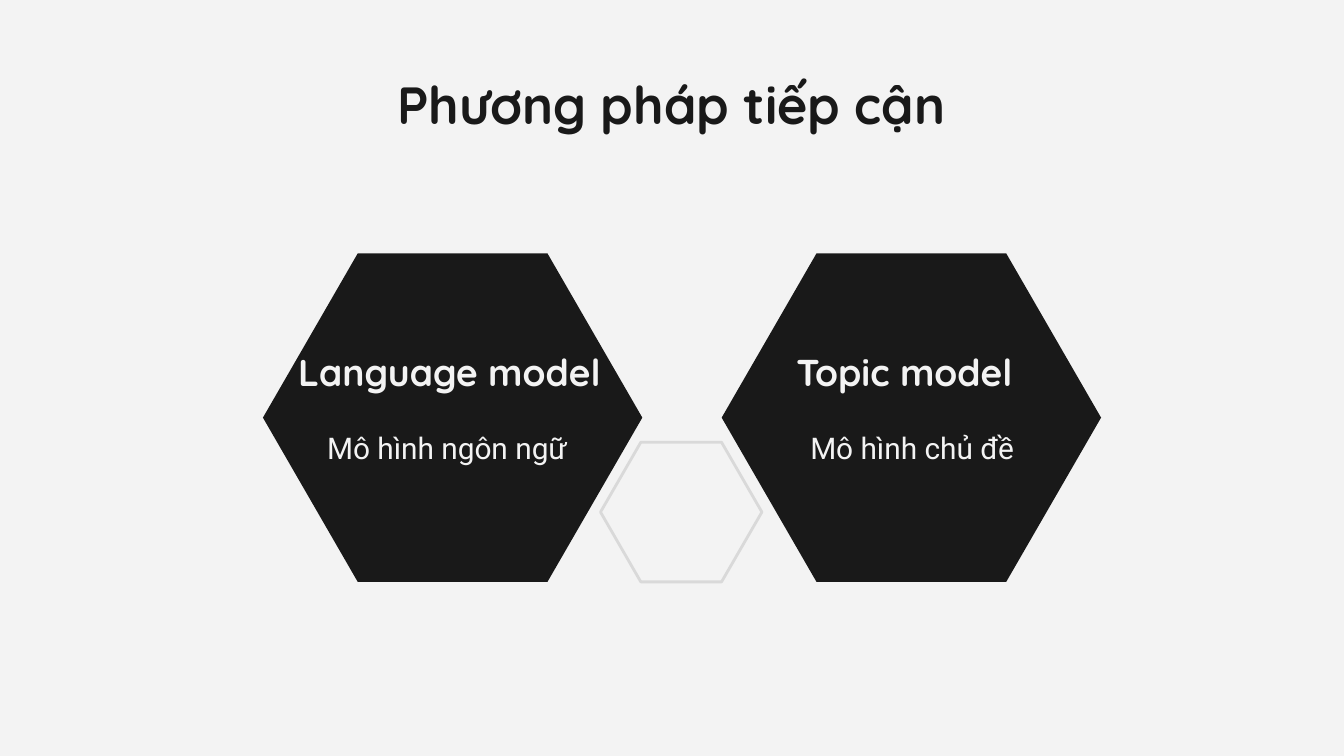
from pptx import Presentation
from pptx.dml.color import RGBColor
from pptx.enum.text import MSO_ANCHOR, PP_ALIGN
from pptx.util import Cm, Pt

INK = RGBColor(0x19, 0x19, 0x19)
PAPER = RGBColor(0xF3, 0xF3, 0xF3)
GREY = RGBColor(0xD9, 0xD9, 0xD9)


def add_text(s, box, text, font="Quicksand", size=20, color=PAPER, bold=False):
    """Add a centred single-line text box; box is left, top, width, height in cm."""
    tf = s.shapes.add_textbox(*map(Cm, box)).text_frame
    tf.word_wrap = True
    tf.vertical_anchor = MSO_ANCHOR.TOP
    tf.margin_left = tf.margin_right = tf.margin_top = tf.margin_bottom = Cm(0.25)
    p = tf.paragraphs[0]
    p.alignment = PP_ALIGN.CENTER
    r = p.add_run()
    r.text = text
    r.font.name = font
    r.font.size = Pt(size)
    r.font.bold = bold
    r.font.color.rgb = color


def add_hexagon(s, box, fill=None, line=None):
    """Add a flat-topped hexagon filling the box, with corners at its quarter points."""
    x, y, w, h = box
    corners = [(0.25, 0), (0, 0.5), (0.25, 1), (0.75, 1), (1, 0.5), (0.75, 0)]
    points = [(Cm(x + w * fx), Cm(y + h * fy)) for fx, fy in corners]
    builder = s.shapes.build_freeform(*points[0])
    builder.add_line_segments(points[1:], close=True)
    sp = builder.convert_to_shape()
    sp.shadow.inherit = False
    if fill is None:
        sp.fill.background()
    else:
        sp.fill.solid()
        sp.fill.fore_color.rgb = fill
    if line is None:
        sp.line.fill.background()
    else:
        sp.line.color.rgb = line
        sp.line.width = Pt(1.5)


def add_model(s, box, name, meaning, name_dx, name_width, meaning_dx):
    """Add a dark hexagon with a model name and its Vietnamese meaning."""
    x, y, w, h = box
    add_hexagon(s, box, fill=INK)
    add_text(s, (x + name_dx, y + 1.56, name_width, 1.9), name, bold=True)
    add_text(s, (x + meaning_dx, y + 3.08, 5.26, 1.68), meaning, font="Roboto", size=16)


def main():
    """Build the slide and save it."""
    prs = Presentation()
    prs.slide_width, prs.slide_height = Cm(25.4), Cm(14.29)
    s = prs.slides.add_slide(prs.slide_layouts[6])
    s.background.fill.solid()
    s.background.fill.fore_color.rgb = PAPER

    add_text(s, (6.96, 1.12, 11.46, 1.9), "Phương pháp tiếp cận", size=28, color=INK, bold=True)
    add_model(s, (4.97, 4.79, 7.17, 6.21), "Language model", "Mô hình ngôn ngữ ", 0.31, 6.43, 0.92)
    add_model(s, (13.64, 4.79, 7.17, 6.21), "Topic model", "Mô hình chủ đề ", 0.61, 5.69, 1.04)
    add_hexagon(s, (11.35, 8.36, 3.05, 2.64), line=GREY)
    prs.save("out.pptx")


if __name__ == "__main__":
    main()
